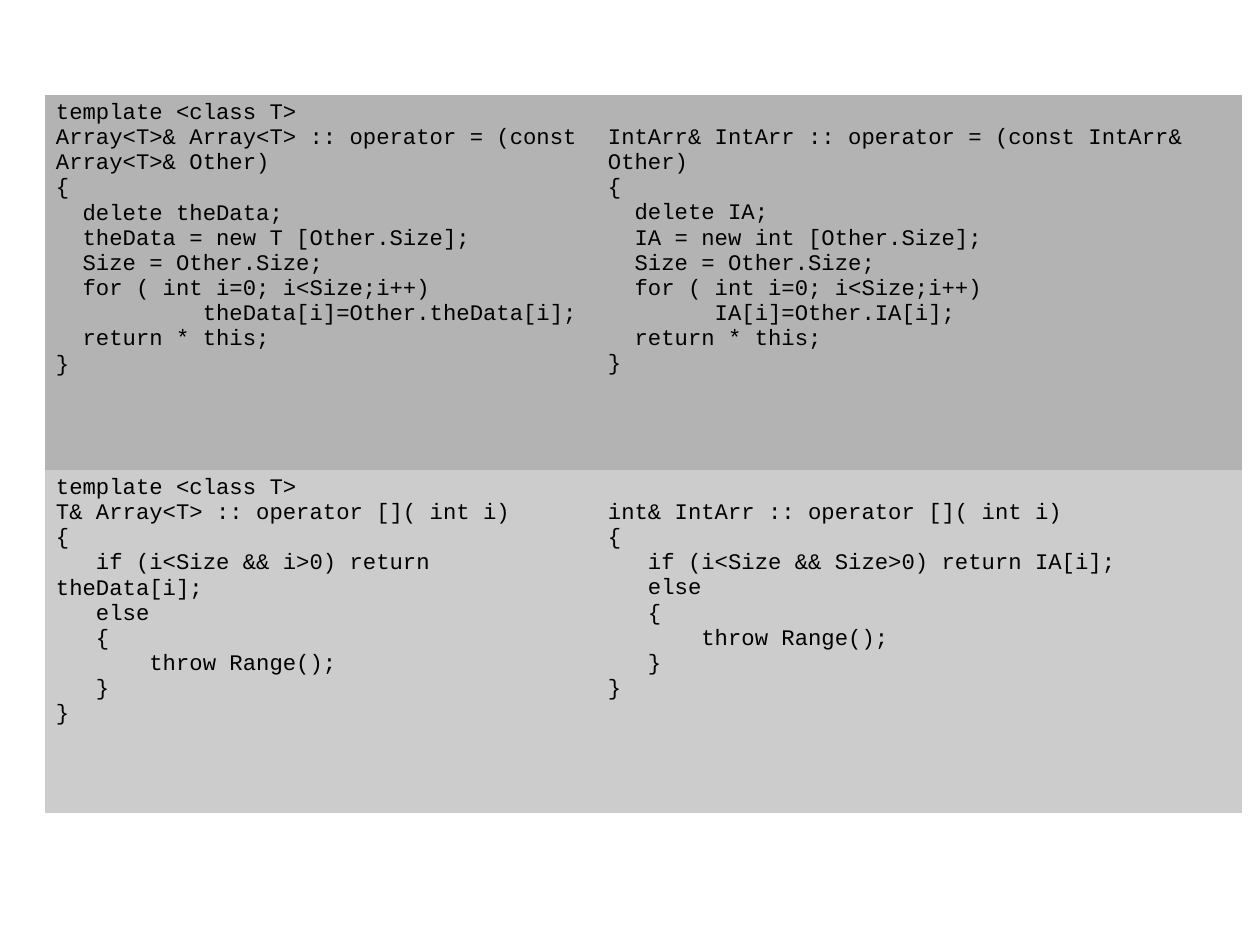
"""Build a slide that sets template array code beside its integer version."""
from dataclasses import dataclass

from pptx import Presentation
from pptx.dml.color import RGBColor as Rgb
from pptx.oxml.ns import qn
from pptx.slide import Slide
from pptx.table import _Cell as Cell
from pptx.util import Emu, Pt

SCALE = 8000
BLACK = Rgb(0x00, 0x00, 0x00)
DARK = Rgb(0xB3, 0xB3, 0xB3)
LIGHT = Rgb(0xCC, 0xCC, 0xCC)
FONT = {"name": "Courier New", "size": Pt(14)}
FLAGS = {"first_row": False, "horz_banding": False}
PLAIN = "{2D5ABB26-0587-4C30-8999-92F81FD0307C}"
WIDTHS = (552, 645)
TOPS = (6, 31)


@dataclass(frozen=True)
class Band:
    """One table row: its height, its fill and its code cells."""
    height: int
    fill: Rgb
    codes: tuple[str, str]


BANDS = (
    Band(375, DARK, (
        """template <class T>
Array<T>& Array<T> :: operator = (const Array<T>& Other)
{
  delete theData;
  theData = new T [Other.Size];
  Size = Other.Size;
  for ( int i=0; i<Size;i++)
           theData[i]=Other.theData[i];
  return * this;
}""",
        """IntArr& IntArr :: operator = (const IntArr& Other)
{
  delete IA;
  IA = new int [Other.Size];
  Size = Other.Size;
  for ( int i=0; i<Size;i++)
        IA[i]=Other.IA[i];
  return * this;
}""")),
    Band(343, LIGHT, (
        """template <class T>
T& Array<T> :: operator []( int i)
{
   if (i<Size && i>0) return theData[i];
   else
   {
       throw Range();
   }
}""",
        """int& IntArr :: operator []( int i)
{
   if (i<Size && Size>0) return IA[i];
   else
   {
       throw Range();
   }
}""")),
)


def px(count: int) -> Emu:
    """Turn px into EMU."""
    return Emu(count * SCALE)


def apply(target: object, form: dict) -> None:
    """Set each format value on the target."""
    for key, value in form.items():
        setattr(target, key, value)


def fill_cell(cell: Cell, code: str, fill: Rgb, top: int) -> None:
    """Write code into a cell and format it."""
    cell.text = code
    cell.fill.solid()
    cell.fill.fore_color.rgb = fill
    apply(cell, {"margin_left": px(11), "margin_right": px(11),
                 "margin_top": px(top), "margin_bottom": px(6)})
    for para in cell.text_frame.paragraphs:
        for run in para.runs:
            apply(run.font, FONT)
            run.font.color.rgb = BLACK


def add_code(slide: Slide) -> None:
    """Add the table of code."""
    high = sum(band.height for band in BANDS)
    frame = slide.shapes.add_table(len(BANDS), len(WIDTHS), px(45), px(95),
                                   px(sum(WIDTHS)), px(high))
    frame.element.find(".//" + qn("a:tableStyleId")).text = PLAIN
    table = frame.table
    apply(table, FLAGS)
    for col, width in zip(table.columns, WIDTHS):
        col.width = px(width)
    for row, band in zip(table.rows, BANDS):
        row.height = px(band.height)
        for cell, code, top in zip(row.cells, band.codes, TOPS):
            fill_cell(cell, code, band.fill, top)


def main() -> None:
    """Build and save the deck."""
    deck = Presentation()
    apply(deck, {"slide_width": px(1260), "slide_height": px(945)})
    add_code(deck.slides.add_slide(deck.slide_layouts[6]))
    deck.save("out.pptx")


if __name__ == "__main__":
    main()
